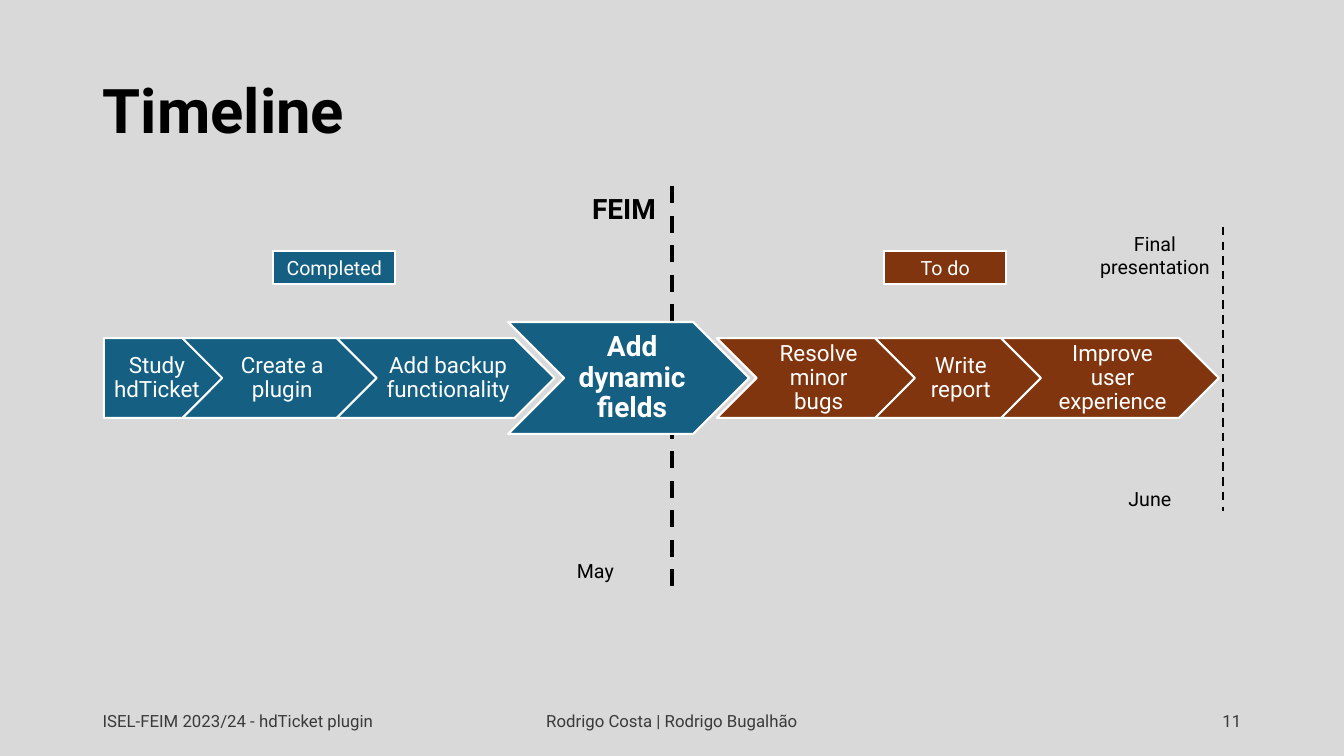
from lxml.etree import SubElement
from pptx import Presentation
from pptx.dml.color import RGBColor
from pptx.enum.dml import MSO_LINE
from pptx.enum.shapes import MSO_CONNECTOR, MSO_SHAPE
from pptx.enum.text import MSO_ANCHOR, MSO_AUTO_SIZE, PP_ALIGN
from pptx.oxml.ns import qn
from pptx.util import Inches, Pt

WIDTH, HEIGHT = 13.33, 7.5
FONT = "Roboto"
BLACK, WHITE, GREY, BACKDROP = "000000", "FFFFFF", "3A3A3A", "D9D9D9"
DONE, TODO = "156082", "80350E"
LEFT, CENTER, RIGHT = PP_ALIGN.LEFT, PP_ALIGN.CENTER, PP_ALIGN.RIGHT

TITLE = "Timeline"
MARGIN = 0.92
FOOTER_TOP, FOOTER_HEIGHT = 6.95, 0.4

CHAIN_LEFT, CHAIN_MIDDLE = 1.03, 3.75
STEP_HEIGHT, CURRENT_HEIGHT = 0.79, 1.11
STEP_OVERLAP, BEFORE_CURRENT, AFTER_CURRENT = 0.4, 0.46, 0.32
STEPS = [
    ("Study hdTicket", 1.18, DONE, 0),
    ("Create a plugin", 1.93, DONE, STEP_OVERLAP),
    ("Add backup functionality", 2.16, DONE, STEP_OVERLAP),
    ("Add dynamic fields", 2.39, DONE, BEFORE_CURRENT),
    ("Resolve minor bugs", 1.97, TODO, AFTER_CURRENT),
    ("Write report", 1.65, TODO, STEP_OVERLAP),
    ("Improve user experience", 2.16, TODO, STEP_OVERLAP),
]
CURRENT_STEP = 3

LEGEND_TOP, LEGEND_WIDTH, LEGEND_HEIGHT = 2.49, 1.21, 0.33
LEGEND = [("Completed", 2.71, DONE), ("To do", 8.77, TODO)]

MILESTONES = [(WIDTH / 2, 1.85, 5.83, 3), (12.13, 2.25, 5.07, 1.5)]
LABELS = [
    ("FEIM", 5.71, 1.85, 0.96, 0.44, 20, True),
    ("Final\npresentation", 10.8, 2.25, 1.31, 0.57, 14, False),
    ("June", 10.75, 4.78, 1.31, 0.34, 14, False),
    ("May", 5.25, 5.5, 1.31, 0.34, 14, False),
]
FOOTERS = [
    ("ISEL-FEIM 2023/24 - hdTicket plugin", MARGIN, 3, LEFT),
    ("Rodrigo Costa | Rodrigo Bugalhão", (WIDTH - 4.5) / 2, 4.5, CENTER),
    ("11", WIDTH - MARGIN - 3, 3, RIGHT),
]


def color(value):
    return RGBColor.from_string(value)


def box(left, top, width, height):
    return [Inches(length) for length in (left, top, width, height)]


def write(shape, text, size, ink, align=CENTER, bold=False,
          anchor=MSO_ANCHOR.MIDDLE, spacing=1.0):
    frame = shape.text_frame
    frame.text = text
    frame.word_wrap = True
    frame.auto_size = MSO_AUTO_SIZE.NONE
    frame.vertical_anchor = anchor
    for paragraph in frame.paragraphs:
        paragraph.alignment = align
        paragraph.line_spacing = spacing
        for run in paragraph.runs:
            run.font.name = FONT
            run.font.size = Pt(size)
            run.font.bold = bold
            run.font.color.rgb = color(ink)


def add_block(slide, kind, place, fill):
    block = slide.shapes.add_shape(kind, *box(*place))
    block.shadow.inherit = False
    block.fill.solid()
    block.fill.fore_color.rgb = color(fill)
    block.line.color.rgb = color(WHITE)
    block.line.width = Pt(1.5)
    return block


def add_milestone(slide, x, top, bottom, weight):
    milestone = slide.shapes.add_connector(
        MSO_CONNECTOR.STRAIGHT, Inches(x), Inches(top), Inches(x), Inches(bottom))
    milestone.line.color.rgb = color(BLACK)
    milestone.line.width = Pt(weight)
    milestone.line.dash_style = MSO_LINE.DASH
    SubElement(milestone._element.spPr, qn("a:effectLst"))


def add_steps(slide):
    right = CHAIN_LEFT
    for index, (text, width, fill, overlap) in enumerate(STEPS):
        current = index == CURRENT_STEP
        height = CURRENT_HEIGHT if current else STEP_HEIGHT
        kind = MSO_SHAPE.CHEVRON if index else MSO_SHAPE.PENTAGON
        left = right - overlap
        step = add_block(slide, kind, (left, CHAIN_MIDDLE - height / 2, width, height), fill)
        write(step, text, 20 if current else 16, WHITE, bold=current, spacing=0.9)
        frame = step.text_frame
        frame.margin_left = Inches(0.07 if index and not current else 0.09)
        frame.margin_right = Inches(0.02)
        right = left + width


def main():
    deck = Presentation()
    deck.slide_width, deck.slide_height = Inches(WIDTH), Inches(HEIGHT)
    slide = deck.slides.add_slide(deck.slide_layouts[5])
    slide.background.fill.solid()
    slide.background.fill.fore_color.rgb = color(BACKDROP)

    title = slide.shapes.title
    title.left, title.top, title.width, title.height = box(
        MARGIN, 0.4, WIDTH - 2 * MARGIN, 1.45)
    write(title, TITLE, 44, BLACK, LEFT, True, spacing=0.9)

    for milestone in MILESTONES:
        add_milestone(slide, *milestone)
    add_steps(slide)
    for text, left, fill in LEGEND:
        key = add_block(slide, MSO_SHAPE.RECTANGLE,
                        (left, LEGEND_TOP, LEGEND_WIDTH, LEGEND_HEIGHT), fill)
        write(key, text, 14, WHITE)
    for text, left, top, width, height, size, bold in LABELS:
        label = slide.shapes.add_textbox(*box(left, top, width, height))
        write(label, text, size, BLACK, bold=bold, anchor=MSO_ANCHOR.TOP)
    for text, left, width, align in FOOTERS:
        footer = slide.shapes.add_textbox(*box(left, FOOTER_TOP, width, FOOTER_HEIGHT))
        write(footer, text, 12, GREY, align)

    deck.save("out.pptx")


if __name__ == "__main__":
    main()
